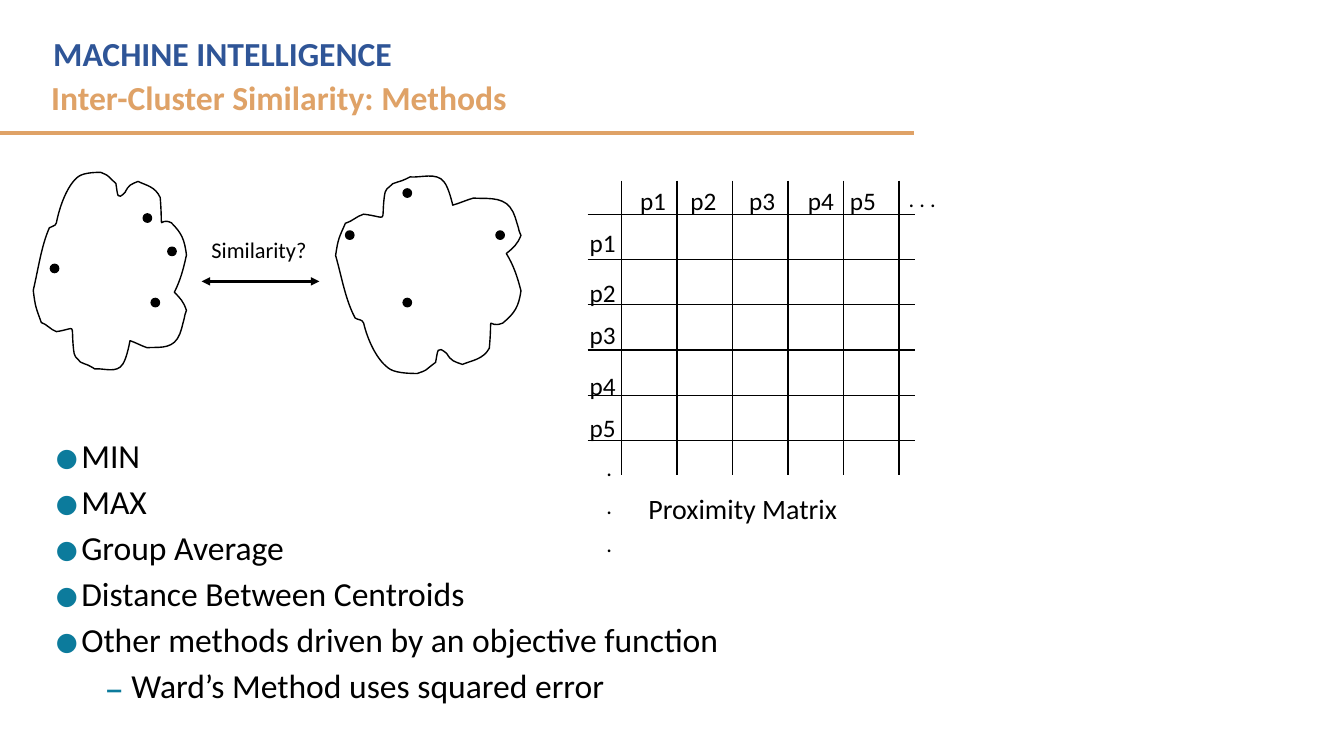
from lxml import etree
from pptx import Presentation
from pptx import util as u
from pptx.dml.color import RGBColor
from pptx.enum import shapes, text
from pptx.oxml.ns import qn

COLORS = {"black": "000000", "gold": "DFA267", "blue": "2F5597", "teal": "0C7B9C"}

presentation = Presentation()
presentation.slide_width = u.Cm(33.87)
presentation.slide_height = u.Cm(19.05)
slide = presentation.slides.add_slide(presentation.slide_layouts[6])


def add_text(lines, left, top, width, height, size=18, color="black", bold=False, before=0, after=0):
    box = slide.shapes.add_textbox(u.Cm(left), u.Cm(top), u.Cm(width), u.Cm(height))
    frame = box.text_frame
    frame.word_wrap = True
    frame.vertical_anchor = text.MSO_ANCHOR.TOP
    for index, line in enumerate(lines):
        paragraph = frame.paragraphs[0] if index == 0 else frame.add_paragraph()
        paragraph.space_before = u.Pt(before if index else 0)
        paragraph.space_after = u.Pt(after)
        run = paragraph.add_run()
        run.text = line
        run.font.name = "Calibri"
        run.font.size = u.Pt(size)
        run.font.bold = bold
        run.font.color.rgb = RGBColor.from_string(COLORS[color])
    return frame


def add_line(x1, y1, x2, y2, color="black", width=1):
    line = slide.shapes.add_connector(
        shapes.MSO_CONNECTOR.STRAIGHT, u.Cm(x1), u.Cm(y1), u.Cm(x2), u.Cm(y2))
    line.line.color.rgb = RGBColor.from_string(COLORS[color])
    line.line.width = u.Pt(width)
    etree.SubElement(line._element.spPr, qn("a:effectLst"))
    return line


add_line(0, 3.35, 23.04, 3.35, "gold", 3)
add_text(["MACHINE INTELLIGENCE"], 1.09, 0.71, 20.83, 1.27, 24, "blue", True)
add_text(["Inter-Cluster Similarity: Methods"], 1.04, 1.82, 22.23, 1.27, 24, "gold", True)

methods = add_text(
    ["MIN", "MAX", "Group Average", "Distance Between Centroids",
     "Other methods driven by an objective function", "Ward’s Method uses squared error"],
    1.16, 10.84, 21.89, 7.87, 24, before=2, after=2)
for paragraph in methods.paragraphs:
    nested = paragraph.text.startswith("Ward")
    paragraph.level = 1 if nested else 0
    properties = paragraph._p.get_or_add_pPr()
    properties.set("marL", str(u.Cm(1.9 if nested else 0.64)))
    properties.set("indent", str(-u.Cm(0.64)))
    bullet_color = etree.SubElement(properties, qn("a:buClr"))
    etree.SubElement(bullet_color, qn("a:srgbClr"), val=COLORS["teal"])
    etree.SubElement(properties, qn("a:buSzPct"), val="100000" if nested else "75000")
    etree.SubElement(properties, qn("a:buFont"), typeface="Noto Sans Symbols")
    etree.SubElement(properties, qn("a:buChar"), char="–" if nested else "●")

arrow = add_line(5.08, 7.09, 8.05, 7.09, width=2)
outline = arrow.line._get_or_add_ln()
for end in ("a:headEnd", "a:tailEnd"):
    etree.SubElement(outline, qn(end), type="triangle")
add_text(["Similarity?"], 5.08, 5.82, 4.01, 0.94, 16)

CLUSTER = [
    (49, 226), (41, 244), (38, 267), (33, 288), (35, 305), (36, 306), (41, 320),
    (47, 322), (50, 327), (56, 329), (77, 326), (70, 319), (73, 347),
    (73, 350), (74, 352), (75, 354), (82, 361), (77, 358), (84, 361),
    (88, 362), (94, 366), (94, 366), (103, 365), (116, 371), (122, 361),
    (126, 355), (129, 338), (129, 338), (135, 340), (140, 343), (146, 345),
    (155, 344), (169, 347), (176, 336), (180, 330), (181, 322), (183, 315),
    (183, 313), (185, 308), (185, 308), (182, 299), (179, 296), (173, 290),
    (179, 278), (182, 267), (185, 253), (183, 237), (180, 231), (170, 221),
    (156, 214), (162, 236), (159, 196), (154, 185), (145, 184), (137, 180),
    (130, 183), (128, 183), (124, 191), (116, 199), (117, 194), (115, 182),
    (104, 172), (109, 175), (100, 171), (96, 171), (84, 171), (78, 175),
    (67, 183), (59, 205), (56, 221), (55, 225), (51, 224), (49, 226)]
MIRRORED = [(333 + (x - 33) * 1.21, 541.5 - y) for x, y in CLUSTER]
for outline_points in (CLUSTER, MIRRORED):
    points = [(round(10 * x), round(10 * y)) for x, y in outline_points]
    anchors = points[::3]
    left = min(x for x, y in anchors)
    top = min(y for x, y in anchors)
    builder = slide.shapes.build_freeform(*anchors[0], scale=u.Cm(2.54) / 1000)
    builder.add_line_segments(anchors[1:], close=True)
    cluster = builder.convert_to_shape()
    segments = list(cluster._element.iter(qn("a:lnTo")))
    for index, segment in enumerate(segments):
        curve = etree.Element(qn("a:cubicBezTo"))
        for x, y in points[3 * index + 1:3 * index + 4]:
            etree.SubElement(curve, qn("a:pt"), x=str(x - left), y=str(y - top))
        segment.getparent().replace(segment, curve)
    cluster.shadow.inherit = False
    cluster.fill.background()
    cluster.line.color.rgb = RGBColor.from_string(COLORS["black"])
    cluster.line.width = u.Pt(1)

for left, top in [(3.81, 7.52), (3.61, 5.39), (1.27, 6.66), (4.23, 6.23),
                  (12.5, 5.82), (8.71, 5.82), (10.16, 7.52), (10.16, 4.76)]:
    point = slide.shapes.add_shape(
        shapes.MSO_SHAPE.OVAL, u.Cm(left), u.Cm(top), u.Cm(0.21), u.Cm(0.21))
    point.shadow.inherit = False
    point.fill.solid()
    point.fill.fore_color.rgb = RGBColor.from_string(COLORS["black"])
    point.line.color.rgb = RGBColor.from_string(COLORS["black"])
    point.line.width = u.Pt(1)

for index in range(6):
    x = 15.66 + 1.4 * index
    y = 5.4 + 1.14 * index
    add_line(x, 4.55, x, 11.96)
    add_line(14.81, y, 23.06, y)

column_lefts = [15.88, 17.15, 18.63, 20.11, 21.17]
row_tops = [5.61, 6.87, 7.93, 9.2, 10.26]
for number, (left, top) in enumerate(zip(column_lefts, row_tops), 1):
    add_text([f"p{number}"], left, 4.55, 1.47, 0.84)
    add_text([f"p{number}"], 14.61, top, 1.47, 0.84)

add_text([". . ."], 22.65, 4.55, 1.47, 0.94, 16)
add_text([".", ".", "."], 15.03, 11.32, 1.47, 2.97, 16, before=8)
add_text(["Proximity Matrix"], 16.09, 12.25, 6.99, 1.09, 20)

presentation.save("out.pptx")
